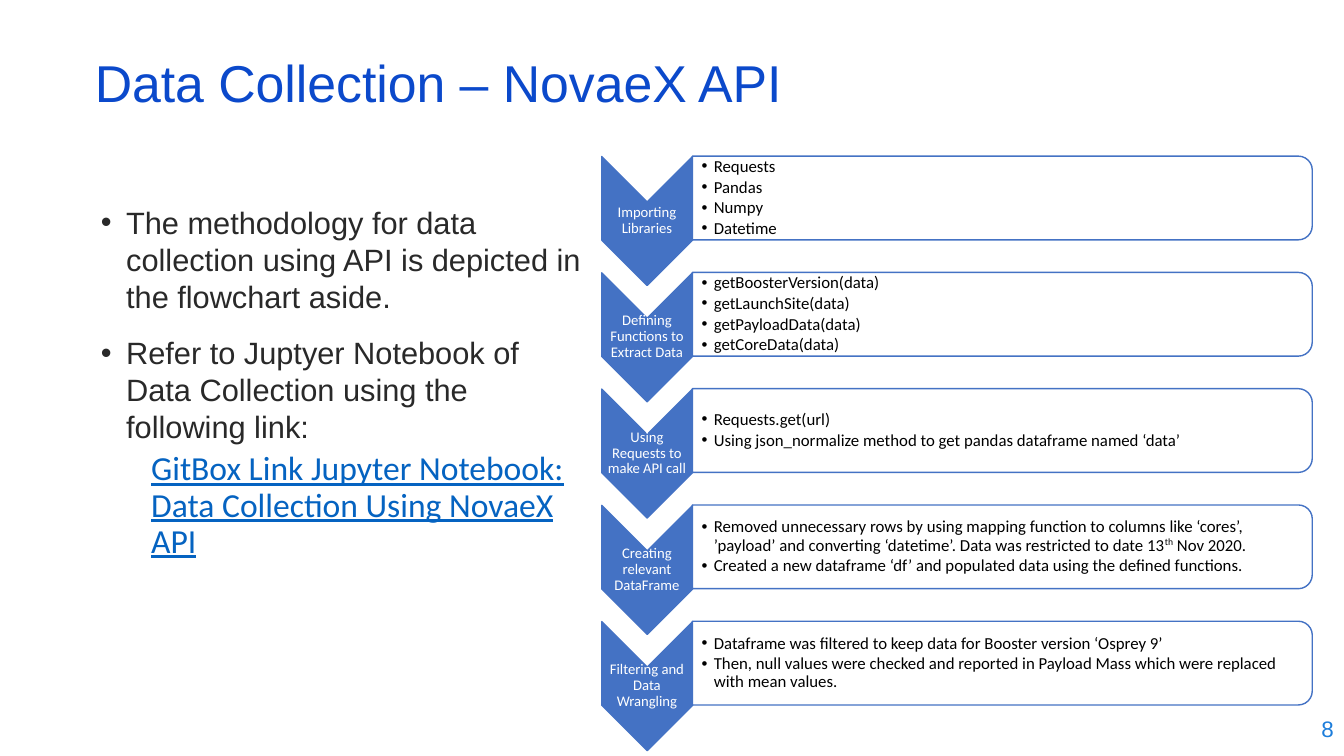
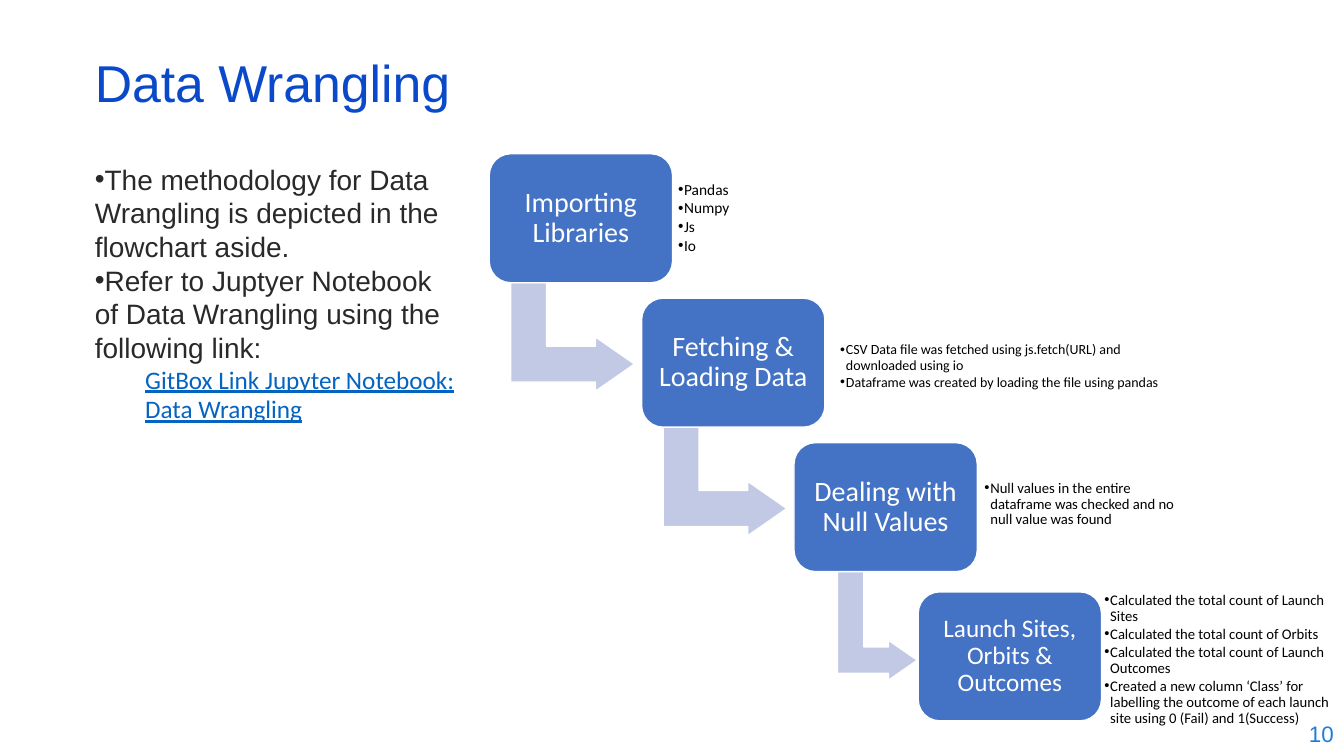
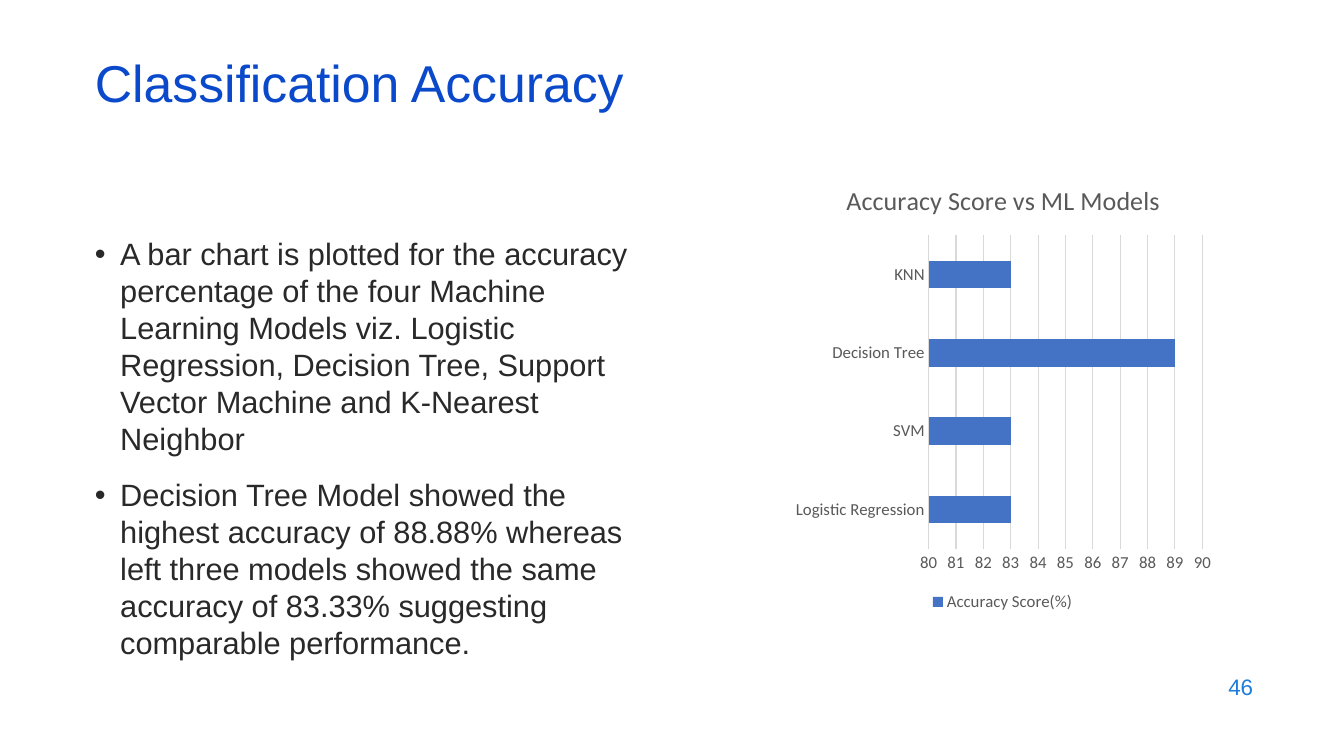
from pptx import Presentation, util as u
from pptx.chart.data import CategoryChartData
from pptx.dml.color import RGBColor
from pptx.enum import chart as charts, shapes, text
from pptx.oxml import parse_xml
from pptx.oxml.ns import nsdecls, qn

COLORS = {"title": "0B49CB", "number": "1C7DDB", "body": "292929", "link": "0563C1",
          "accent": "4472C4", "arrow": "C1C9E4", "white": "FFFFFF", "black": "000000",
          "axis": "595959", "grid": "D9D9D9"}
RGB = {name: RGBColor.from_string(value) for name, value in COLORS.items()}

# Text styles: font and paragraph attributes, colour, bullet as (margin, hanging) in cm
LEFT, CENTER, RIGHT = text.PP_ALIGN.LEFT, text.PP_ALIGN.CENTER, text.PP_ALIGN.RIGHT
STYLES = {
    "title": dict(font=dict(name="Arial", size=u.Pt(37)), color="title",
                  para=dict(line_spacing=0.7)),
    "number": dict(font=dict(name="Arial", size=u.Pt(16)), color="number",
                   para=dict(alignment=RIGHT)),
    "body": dict(font=dict(name="Arial", size=u.Pt(22)), color="body", bullet=(0.64, 0.64),
                 para=dict(line_spacing=1.0, space_before=u.Pt(14))),
    "flush body": dict(font=dict(name="Arial", size=u.Pt(20)), color="body", bullet=(0, 0),
                       para=dict(line_spacing=1.0)),
    "link": dict(font=dict(name="Calibri", size=u.Pt(24), underline=True), color="link",
                 margin=1.27, para=dict(line_spacing=0.9, space_before=u.Pt(5))),
    "small link": dict(font=dict(name="Calibri", size=u.Pt(18), underline=True), color="link",
                       margin=1.27, para=dict(line_spacing=0.98, space_before=u.Pt(1))),
}
for size in (10.5, 18, 20):
    STYLES[f"label {size}"] = dict(font=dict(name="Calibri", size=u.Pt(size)), color="white",
                                   para=dict(alignment=CENTER, line_spacing=0.9))
for size, hang, gap in ((12, 0.31, 1.8), (11, 0.15, 1.5), (10.5, 0.15, 1.5), (10, 0.15, 1.5)):
    STYLES[f"note {size}"] = dict(font=dict(name="Calibri", size=u.Pt(size)), color="black",
                                  bullet=(hang, hang),
                                  para=dict(line_spacing=0.9, space_after=u.Pt(gap)))


def write(shape, lines, anchor="MIDDLE", insets=(0.25, 0.13, 0.25, 0.13)):
    """Fill a shape with (style, text) lines; text between ^ marks is superscript."""
    frame = shape.text_frame
    frame.word_wrap = True
    frame.vertical_anchor = text.MSO_ANCHOR[anchor]
    for side, inset in zip(("left", "top", "right", "bottom"), insets):
        setattr(frame, f"margin_{side}", u.Cm(inset))
    for index, (style_name, words) in enumerate(lines):
        style = STYLES[style_name]
        para = frame.add_paragraph() if index else frame.paragraphs[0]
        props = para._p.get_or_add_pPr()
        margin, hang = style.get("bullet", (style.get("margin", 0), 0))
        props.set("marL", str(u.Cm(margin)))
        props.set("indent", str(-u.Cm(hang)))
        if "bullet" in style:
            props.append(parse_xml(f'<a:buFont {nsdecls("a")} typeface="Arial"/>'))
            props.append(parse_xml(f'<a:buChar {nsdecls("a")} char="•"/>'))
        for name, value in ({"alignment": LEFT} | style["para"]).items():
            if index or name != "space_before":
                setattr(para, name, value)
        for part, piece in enumerate(words.split("^")):
            span = para.add_run()
            span.text = piece
            for name, value in style["font"].items():
                setattr(span.font, name, value)
            span.font.color.rgb = RGB[style["color"]]
            if part % 2:
                span._r.get_or_add_rPr().set("baseline", "30000")


def add_shape(page, kind, center, size, fill, line, rotation=0):
    """Add a flat preset shape around a centre point, in cm."""
    (x, y), (width, height) = center, size
    shape = page.shapes.add_shape(kind, u.Cm(x - width / 2), u.Cm(y - height / 2),
                                  u.Cm(width), u.Cm(height))
    shape.rotation = rotation
    shape.shadow.inherit = False
    shape.fill.solid()
    shape.fill.fore_color.rgb = RGB[fill]
    shape.line.color.rgb = RGB[line]
    shape.line.width = u.Pt(1)
    return shape


deck = Presentation()
deck.slide_width, deck.slide_height = u.Cm(33.87), u.Cm(19.05)

# Title, page number and body text of every slide
CONTENT = [
    ("Data Collection – NovaeX API", "8", (26.24, 17.81), (2.29, 5, 12.88, 11.73), [
        ("body", "The methodology for data collection using API is depicted in the "
                 "flowchart aside."),
        ("body", "Refer to Juptyer Notebook of Data Collection using the following link:"),
        ("link", "GitBox Link Jupyter Notebook: Data Collection Using NovaeX API")]),
    ("Data Wrangling", "10", (26.24, 17.93), (2.14, 3.96, 9.78, 13.36), [
        ("flush body", "The methodology for Data Wrangling is depicted in the flowchart aside."),
        ("flush body", "Refer to Juptyer Notebook of Data Wrangling using the following link:"),
        ("small link", "GitBox Link Jupyter Notebook: Data Wrangling")]),
    ("Classification Accuracy", "46", (24.21, 16.74), (2.14, 5.79, 14.78, 10.59), [
        ("body", "A bar chart is plotted for the accuracy percentage of the four Machine "
                 "Learning Models viz. Logistic Regression, Decision Tree, Support Vector "
                 "Machine and K-Nearest Neighbor"),
        ("body", "Decision Tree Model showed the highest accuracy of 88.88% whereas left "
                 "three models showed the same accuracy of 83.33% suggesting comparable "
                 "performance.")]),
]
pages = []
for title, number, corner, body_area, body_lines in CONTENT:
    page = deck.slides.add_slide(deck.slide_layouts[6])
    pages.append(page)
    for area, lines, anchor in (((*corner, 7.62, 1.12), [("number", number)], "MIDDLE"),
                                (body_area, body_lines, "TOP"),
                                ((2.14, 1.5, 29.2, 1.52), [("title", title)], "MIDDLE")):
        box = page.shapes.add_textbox(*map(u.Cm, area))
        write(box, lines, anchor)
collection, wrangling, accuracy = pages

# Slide 1: chevron list
STAGES = [
    ("Importing Libraries", ["Requests", "Pandas", "Numpy", "Datetime"]),
    ("Defining Functions to Extract Data",
     ["getBoosterVersion(data)", "getLaunchSite(data)", "getPayloadData(data)",
      "getCoreData(data)"]),
    ("Using Requests to make API call",
     ["Requests.get(url)",
      "Using json_normalize method to get pandas dataframe named ‘data’"]),
    ("Creating relevant DataFrame",
     ["Removed unnecessary rows by using mapping function to columns like ‘cores’, "
      "’payload’ and converting ‘datetime’. Data was restricted to date 13^th^ Nov 2020.",
      "Created a new dataframe ‘df’ and populated data using the defined functions."]),
    ("Filtering and Data Wrangling",
     ["Dataframe was filtered to keep data for Booster version ‘Osprey 9’",
      "Then, null values were checked and reported in Payload Mass which were replaced "
      "with mean values."]),
]
STAGE_TOP, STAGE_PITCH = 3.94, 2.93
for index, (label, notes) in enumerate(STAGES):
    top = STAGE_TOP + index * STAGE_PITCH
    add_shape(collection, shapes.MSO_SHAPE.CHEVRON, (16.31, top + 1.63), (3.25, 2.29),
              "accent", "accent", 90)
    box = collection.shapes.add_textbox(u.Cm(15.16), u.Cm(top + 1.14), u.Cm(2.29), u.Cm(0.97))
    write(box, [("label 10.5", label)], insets=[0.03] * 4)
    add_shape(collection, shapes.MSO_SHAPE.ROUND_2_SAME_RECTANGLE, (25.26, top + 1.05),
              (2.11, 15.62), "white", "accent", 90)
    box = collection.shapes.add_textbox(u.Cm(17.45), u.Cm(top + 0.1), u.Cm(15.52), u.Cm(1.9))
    write(box, [("note 12", note) for note in notes], insets=(0.23, 0.03, 0.03, 0.03))

# Slide 2: descending steps; label size, corner, arrow length, note area, note size, notes
STEPS = [
    ("Importing Libraries", 20, (12.33, 3.88), 3.12, (16.97, 4.19, 3.38, 2.62), 11,
     ["Pandas", "Numpy", "Js", "Io"]),
    ("Fetching & Loading Data", 20, (16.17, 7.52), 3.12, (21.05, 7.93, 8.89, 2.62), 10,
     ["CSV Data file was fetched using js.fetch(URL) and downloaded using io",
      "Dataframe was created by loading the file using pandas"]),
    ("Dealing with Null Values", 20, (20.01, 11.16), 2.01, (24.69, 11.4, 5.28, 2.62), 10.5,
     ["Null values in the entire dataframe was checked and no null value was found"]),
    ("Launch Sites, Orbits & Outcomes", 18, (23.14, 14.92), 0, (27.71, 14.88, 5.99, 3.48), 10.5,
     ["Calculated the total count of Launch Sites", "Calculated the total count of Orbits",
      "Calculated the total count of Launch Outcomes",
      "Created a new column ‘Class’ for labelling the outcome of each launch site using "
      "0 (Fail) and 1(Success)"]),
]
for label, label_size, (left, top), arrow_length, note_area, note_size, notes in STEPS:
    if arrow_length:
        arrow = add_shape(wrangling, shapes.MSO_SHAPE.BENT_UP_ARROW, (left + 2.1, top + 4.61),
                          (2.74, arrow_length), "arrow", "white", 90)
        for index, value in enumerate((0.33, 0.25, 0.36)):
            arrow.adjustments[index] = value
    step = add_shape(wrangling, shapes.MSO_SHAPE.ROUNDED_RECTANGLE, (left + 2.31, top + 1.62),
                     (4.62, 3.25), "accent", "white")
    write(step, [(f"label {label_size}", label)], insets=[0.2] * 4)
    box = wrangling.shapes.add_textbox(*map(u.Cm, note_area))
    write(box, [(f"note {note_size}", note) for note in notes], insets=[0.12] * 4)

# Slide 3: bar chart
data = CategoryChartData()
data.categories = ["Logistic Regression", "SVM", "Decision Tree", "KNN"]
data.add_series("Accuracy Score(%)", [83, 83, 89, 83])
chart = accuracy.shapes.add_chart(charts.XL_CHART_TYPE.BAR_CLUSTERED, u.Cm(19.79), u.Cm(4.24),
                                  u.Cm(10.95), u.Cm(11.28), data).chart
chart.has_title = chart.has_legend = True
chart.chart_title.text_frame.text = "Accuracy Score vs ML Models"
chart.legend.position = charts.XL_LEGEND_POSITION.BOTTOM
chart.legend.include_in_layout = False
plot = chart.plots[0]
plot.gap_width, plot.vary_by_categories = 182, False
plot.series[0].format.fill.solid()
plot.series[0].format.fill.fore_color.rgb = RGB["accent"]

# Axes
values, categories = chart.value_axis, chart.category_axis
for name, value in dict(minimum_scale=80, maximum_scale=90, major_unit=1,
                        has_major_gridlines=True).items():
    setattr(values, name, value)
for axis in (values, categories):
    axis.major_tick_mark = axis.minor_tick_mark = charts.XL_TICK_MARK.NONE
values.tick_labels.number_format = "0"
values.tick_labels.number_format_is_linked = False
values.format.line.fill.background()
for line in (values.major_gridlines.format.line, categories.format.line):
    line.color.rgb = RGB["grid"]
    line.width = u.Pt(0.75)

# Chart fonts
title_font = chart.chart_title.text_frame.paragraphs[0].runs[0].font
for font, size in ((chart.font, 12), (values.tick_labels.font, 12), (chart.legend.font, 12),
                   (categories.tick_labels.font, 12), (title_font, 18.6)):
    for name, value in dict(name="Calibri", size=u.Pt(size), bold=False).items():
        setattr(font, name, value)
    font.color.rgb = RGB["axis"]

# Fixed places of the chart title and the plot, as fractions of the chart
plot_area = chart._chartSpace.xpath("c:chart/c:plotArea")[0]
for part, place in ((chart.chart_title._element, dict(x=0.13, y=0.02)),
                    (plot_area, dict(x=0.33, y=0.15, w=0.63, h=0.7))):
    for old in part.findall(qn("c:layout")):
        part.remove(old)
    target = '<c:layoutTarget val="inner"/>' if part is plot_area else ""
    modes = "".join(f'<c:{key}Mode val="edge"/>' for key in "xy")
    sizes = "".join(f'<c:{key} val="{value}"/>' for key, value in place.items())
    layout = parse_xml(f'<c:layout {nsdecls("c")}><c:manualLayout>{target}{modes}{sizes}'
                       "</c:manualLayout></c:layout>")
    part.insert(0 if part is plot_area else 1, layout)

deck.save("out.pptx")
